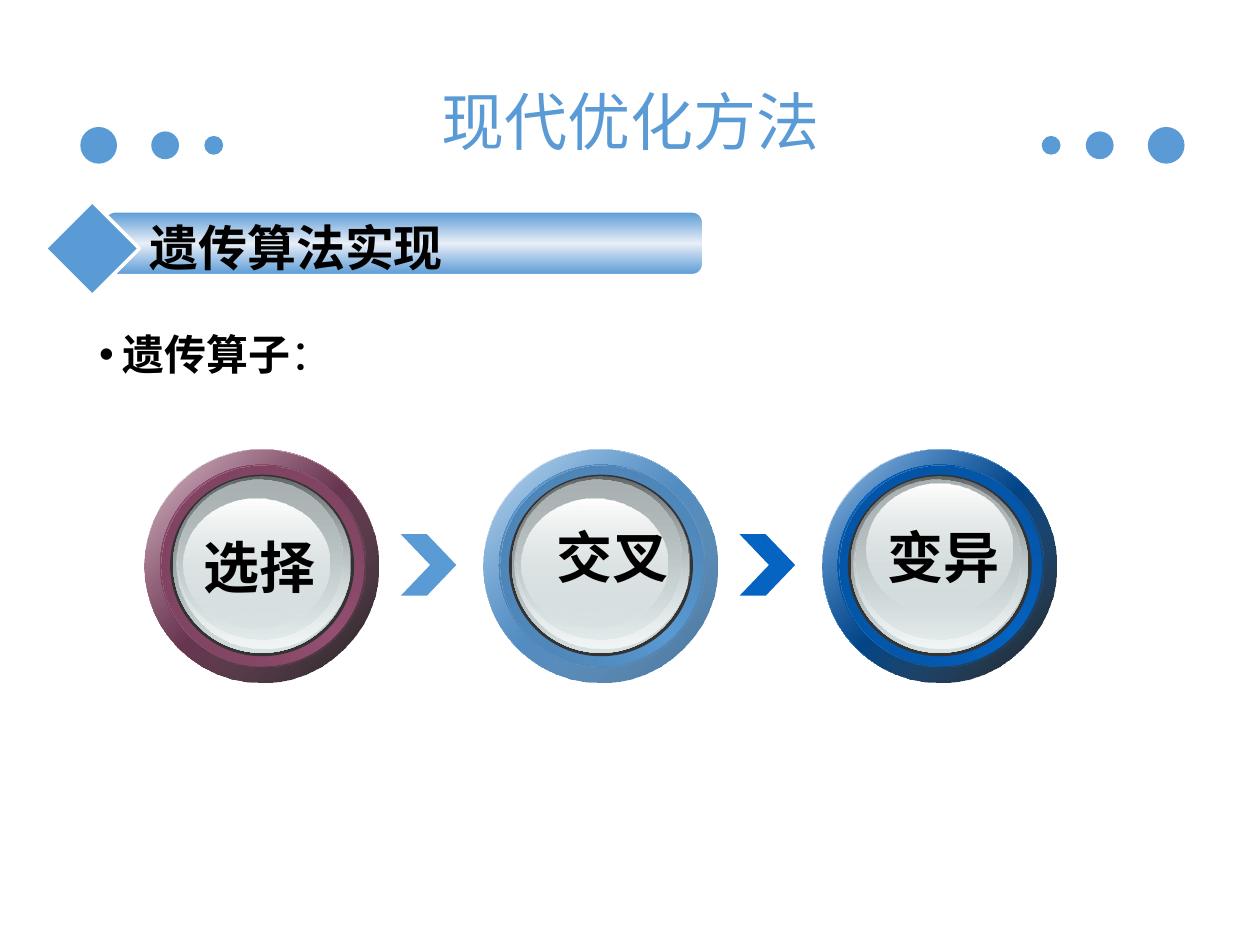
"""Build the genetic operators slide: selection, crossover and mutation."""
from dataclasses import dataclass

from lxml import etree
from pptx import Presentation
from pptx.dml.color import RGBColor
from pptx.enum.shapes import MSO_SHAPE
from pptx.enum.text import MSO_ANCHOR, PP_ALIGN
from pptx.oxml.ns import qn
from pptx.shapes.autoshape import Shape
from pptx.slide import Slide
from pptx.text.text import TextFrame, _Paragraph
from pptx.util import Cm, Pt

OVAL = MSO_SHAPE.OVAL
CHEVRON = MSO_SHAPE.CHEVRON
DIAMOND = MSO_SHAPE.DIAMOND
ROUNDED = MSO_SHAPE.ROUNDED_RECTANGLE
MIDDLE = MSO_ANCHOR.MIDDLE
CENTER = PP_ALIGN.CENTER
LEFT = PP_ALIGN.LEFT


@dataclass(frozen=True)
class Theme:
    blue: str = "5B9BD5"
    deep_blue: str = "0563C1"
    plum: str = "954F72"
    white: str = "FFFFFF"
    black: str = "000000"
    pale: str = "E8EEF7"
    well: str = "333333"
    glass: str = "D6E1E2"
    glass_dark: str = "636869"
    glass_mid: str = "AAB2B3"
    glass_light: str = "F1F5F5"
    latin: str = "Arial"
    chinese: str = "Noto Sans CJK SC"
    title_size: int = 36
    operator_size: int = 32
    heading_size: int = 28
    body_size: int = 24


@dataclass(frozen=True)
class Box:
    left: float
    top: float
    width: float
    height: float

    def shifted(self, left: float, top: float) -> "Box":
        """Return the box moved by the given distances."""
        return Box(self.left + left, self.top + top, self.width, self.height)


@dataclass(frozen=True)
class Stop:
    position: int
    color: str
    opacity: int = 100


@dataclass(frozen=True)
class Gradient:
    angle: int
    stops: tuple[Stop, ...]


@dataclass(frozen=True)
class Operator:
    name: str
    color: str
    ring_edge: str
    bevel_edge: str
    shadow: Stop
    highlight: Box
    label: Box


THEME = Theme()
RING_LEFT, RING_TOP, RING_PITCH = 2.92, 9.06, 6.83
RIM = Box(0, 0, 4.72, 4.7)
RING = Box(0.31, 0.31, 4.11, 4.06)
BEVEL = Box(0.34, 0.32, 4.11, 4.06)
WELL = Box(0.51, 0.51, 3.71, 3.66)
GLASS_LAYERS = (
    (Box(0.57, 0.54, 3.58, 3.56), Stop(0, THEME.glass_dark), Stop(100, THEME.glass)),
    (Box(0.63, 0.56, 3.51, 3.45), Stop(0, THEME.glass, 0), Stop(100, THEME.glass_light)),
    (Box(0.66, 0.61, 3.33, 3.23), Stop(0, THEME.glass_mid), Stop(100, THEME.glass, 48)),
)
OPERATORS = (
    Operator("选择", THEME.plum, "723C57", "7A415E", Stop(100, THEME.black, 90),
             Box(0.78, 1, 2.95, 2.62), Box(3.53, 10.62, 3.4, 1.63)),
    Operator("交叉", THEME.blue, "4677A3", "4B7FAF", Stop(100, "416F98"),
             Box(0.76, 1, 2.95, 2.62), Box(10.95, 10.41, 2.79, 1.63)),
    Operator("变异", THEME.deep_blue, "044C94", "04519E", Stop(100, THEME.black, 90),
             Box(0.89, 0.69, 2.95, 2.62), Box(17.63, 10.41, 2.79, 1.63)),
)


def three_stops(edge: str, middle: str, angle: int) -> Gradient:
    """Return a gradient with equal ends around a middle colour."""
    return Gradient(angle, (Stop(0, edge), Stop(50, middle), Stop(100, edge)))


def apply_gradient(shape: Shape, gradient: Gradient) -> None:
    """Fill a shape with a linear gradient."""
    fill = etree.Element(qn("a:gradFill"), rotWithShape="1")
    stop_list = etree.SubElement(fill, qn("a:gsLst"))
    for stop in gradient.stops:
        node = etree.SubElement(stop_list, qn("a:gs"), pos=str(stop.position * 1000))
        color = etree.SubElement(node, qn("a:srgbClr"), val=stop.color)
        if stop.opacity < 100:
            etree.SubElement(color, qn("a:alpha"), val=str(stop.opacity * 1000))
    etree.SubElement(fill, qn("a:lin"), ang=str(gradient.angle * 60000), scaled="0")
    shape._element.spPr.find(qn("a:prstGeom")).addnext(fill)


def add_figure(slide: Slide, kind: MSO_SHAPE, box: Box, fill: str | Gradient,
               outline: float = 0) -> Shape:
    """Draw a preset shape with a solid or gradient fill."""
    figure = slide.shapes.add_shape(
        kind, Cm(box.left), Cm(box.top), Cm(box.width), Cm(box.height))
    figure.shadow.inherit = False
    if outline:
        figure.line.color.rgb = RGBColor.from_string(THEME.white)
        figure.line.width = Pt(outline)
    else:
        figure.line.fill.background()
    if isinstance(fill, Gradient):
        apply_gradient(figure, fill)
    else:
        figure.fill.solid()
        figure.fill.fore_color.rgb = RGBColor.from_string(fill)
    return figure


def format_paragraph(paragraph: _Paragraph, size: int, color: str, latin: str,
                     bold: bool | None = None, align: PP_ALIGN = CENTER) -> None:
    """Set the alignment and font of a paragraph."""
    paragraph.alignment = align
    font = paragraph.font
    font.size, font.bold, font.name = Pt(size), bold, latin
    font.color.rgb = RGBColor.from_string(color)
    etree.SubElement(font._element, qn("a:ea"), typeface=THEME.chinese)


def add_text_frame(slide: Slide, box: Box) -> TextFrame:
    """Add a wrapping text box without side insets."""
    frame = slide.shapes.add_textbox(
        Cm(box.left), Cm(box.top), Cm(box.width), Cm(box.height)).text_frame
    frame.word_wrap = True
    frame.margin_left = frame.margin_right = 0
    return frame


def add_label(slide: Slide, box: Box, text: str, size: int) -> None:
    """Add a bold centred label."""
    paragraph = add_text_frame(slide, box).paragraphs[0]
    paragraph.text = text
    format_paragraph(paragraph, size, THEME.black, THEME.chinese, bold=True)


def add_title(slide: Slide) -> None:
    """Place and format the title between mirrored rows of dots."""
    for center, size in ((1.99, 0.74), (3.33, 0.56), (4.31, 0.38)):
        for middle in (center, 25.5 - center):
            dot = Box(middle - size / 2, 2.93 - size / 2, size, size)
            add_figure(slide, OVAL, dot, THEME.blue)
    title = slide.shapes.title
    title.left, title.top, title.width, title.height = Cm(1.27), Cm(1.19), Cm(22.86), Cm(2.16)
    title.text_frame.vertical_anchor = MIDDLE
    paragraph = title.text_frame.paragraphs[0]
    paragraph.text = "现代优化方法"
    paragraph.line_spacing = 1.2
    format_paragraph(paragraph, THEME.title_size, THEME.blue, THEME.latin)


def add_heading(slide: Slide) -> None:
    """Draw the section banner with its diamond."""
    banner = three_stops(THEME.blue, THEME.pale, 90)
    add_figure(slide, ROUNDED, Box(2.11, 4.27, 12.06, 1.27), banner, outline=1)
    add_figure(slide, DIAMOND, Box(0.91, 4.06, 1.9, 1.9), THEME.blue, outline=2)
    add_label(slide, Box(2.11, 4.27, 7.72, 1.45), "遗传算法实现", THEME.heading_size)


def add_bullet(slide: Slide) -> None:
    """Add the bullet that introduces the operators."""
    paragraph = add_text_frame(slide, Box(2, 6.5, 21.4, 1.5)).paragraphs[0]
    properties = paragraph._p.get_or_add_pPr()
    properties.set("marL", str(Cm(0.48)))
    properties.set("indent", str(Cm(-0.48)))
    etree.SubElement(properties, qn("a:buFont"), typeface=THEME.latin)
    etree.SubElement(properties, qn("a:buChar"), char="•")
    for text, bold in (("遗传算子", True), ("：", False)):
        run = paragraph.add_run()
        run.text, run.font.bold = text, bold
    format_paragraph(paragraph, THEME.body_size, THEME.black, THEME.latin, align=LEFT)


def add_operator(slide: Slide, operator: Operator, left: float) -> None:
    """Draw one glass button with its coloured ring and label."""
    color = operator.color
    layers = [
        (RIM, three_stops(THEME.white, color, 45)),
        (RIM, Gradient(45, (Stop(0, color, 32), operator.shadow))),
        (RING, three_stops(operator.ring_edge, color, 315)),
        (BEVEL, Gradient(45, (Stop(0, operator.bevel_edge), Stop(100, color, 0)))),
        (WELL, THEME.well),
    ]
    layers += [(box, Gradient(90, stops)) for box, *stops in GLASS_LAYERS]
    shine = Gradient(90, (Stop(0, THEME.white), Stop(100, THEME.glass, 38)))
    layers.append((operator.highlight, shine))
    for box, fill in layers:
        add_figure(slide, OVAL, box.shifted(left, RING_TOP), fill)
    add_label(slide, operator.label, operator.name, THEME.operator_size)


def main() -> None:
    """Build and save the slide."""
    deck = Presentation()
    deck.slide_width, deck.slide_height = Cm(25.4), Cm(19.05)
    slide = deck.slides.add_slide(deck.slide_layouts[5])
    add_title(slide)
    add_bullet(slide)
    for index, color in enumerate((THEME.blue, THEME.deep_blue)):
        chevron = Box(8.08 + index * RING_PITCH, 10.77, 1.12, 1.24)
        add_figure(slide, CHEVRON, chevron, color).adjustments[0] = 0.53
    for index, operator in enumerate(OPERATORS):
        add_operator(slide, operator, RING_LEFT + index * RING_PITCH)
    add_heading(slide)
    deck.save("out.pptx")


if __name__ == "__main__":
    main()
